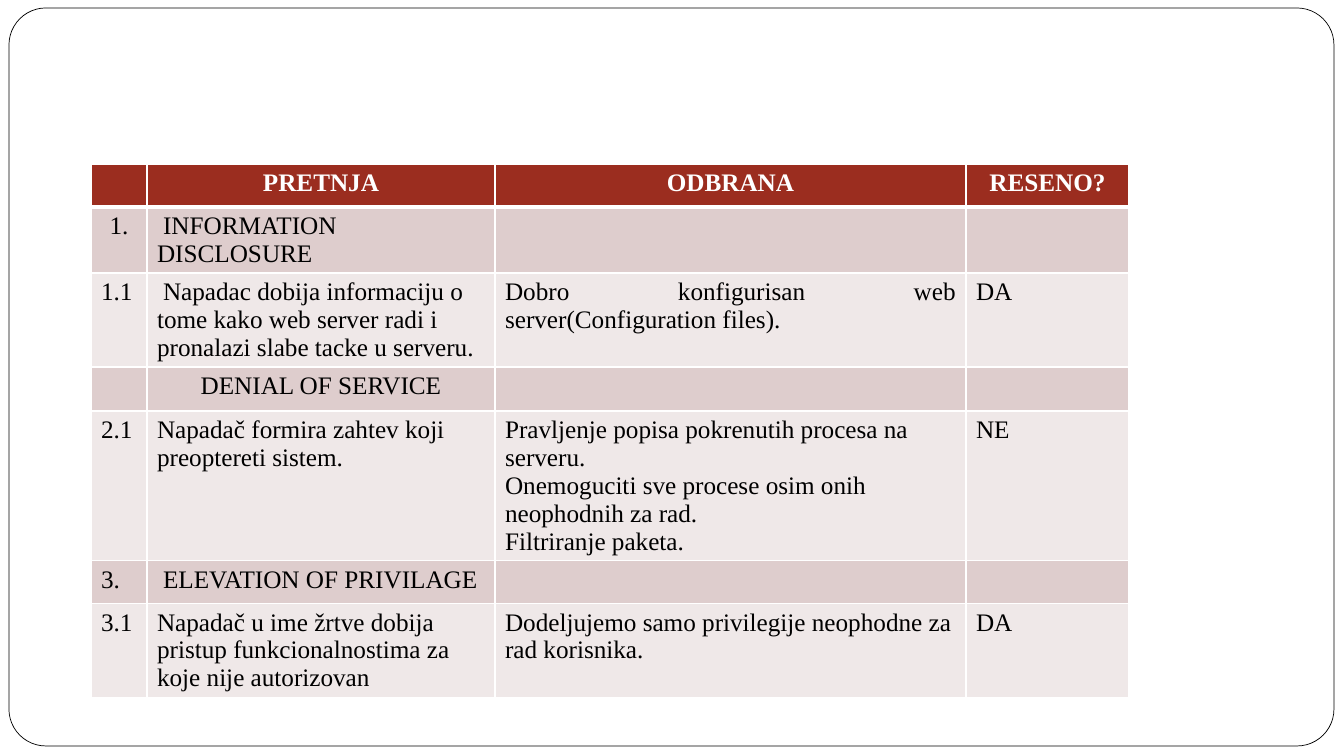
"""Build the slide with the table of threats, defences and their status."""
from dataclasses import dataclass

from lxml.etree import SubElement
from pptx import Presentation
from pptx.dml.color import RGBColor
from pptx.enum.shapes import MSO_SHAPE
from pptx.enum.text import PP_ALIGN
from pptx.oxml.ns import qn
from pptx.slide import Slide
from pptx.table import _Cell
from pptx.util import Emu, Pt

COLORS = {"white": "FFFFFF", "black": "000000", "header": "9B2D1F",
          "section": "DECDCD", "detail": "EFE8E8"}
FONT_NAME = "Times New Roman"
SCALE = 914400 / 100.8
COLUMN_WIDTHS = (56, 348, 471, 163)
TABLE_LEFT, TABLE_TOP = 91, 164
LEFT, CENTER, JUSTIFY = PP_ALIGN.LEFT, PP_ALIGN.CENTER, PP_ALIGN.JUSTIFY


@dataclass(frozen=True)
class Entry:
    text: str = ""
    align: PP_ALIGN = LEFT
    indent: int = 0


@dataclass(frozen=True)
class ThreatRow:
    kind: str
    height: int
    entries: tuple[Entry, ...]


ROWS = (
    ThreatRow("header", 43, (Entry(), Entry("PRETNJA", CENTER),
                             Entry("ODBRANA", CENTER), Entry("RESENO?", CENTER))),
    ThreatRow("section", 66, (Entry("1.", CENTER),
                              Entry("INFORMATION DISCLOSURE", indent=6))),
    ThreatRow("detail", 94, (
        Entry("1.1"),
        Entry("Napadac dobija informaciju o tome kako web server radi i "
              "pronalazi slabe tacke u serveru.", indent=6),
        Entry("Dobro konfigurisan web server(Configuration files).", JUSTIFY),
        Entry("DA", JUSTIFY))),
    ThreatRow("section", 44, (Entry(), Entry("DENIAL OF SERVICE", CENTER))),
    ThreatRow("detail", 149, (
        Entry("2.1"),
        Entry("Napadač formira zahtev koji preoptereti sistem."),
        Entry("Pravljenje popisa pokrenutih procesa na serveru.\n"
              "Onemoguciti sve procese osim onih neophodnih za rad.\n"
              "Filtriranje paketa."),
        Entry("NE"))),
    ThreatRow("section", 43, (Entry("3."), Entry("ELEVATION OF PRIVILAGE", indent=6))),
    ThreatRow("detail", 94, (
        Entry("3.1"),
        Entry("Napadač u ime žrtve dobija pristup funkcionalnostima za "
              "koje nije autorizovan"),
        Entry("Dodeljujemo samo privilegije neophodne za rad korisnika."),
        Entry("DA"))),
)


def pixels(value: int) -> Emu:
    return Emu(round(value * SCALE))


def color(name: str) -> RGBColor:
    return RGBColor.from_string(COLORS[name])


def write_text(cell: _Cell, text: str, *, align: PP_ALIGN = LEFT, indent: int = 0,
               text_color: str = "black", bold: bool = False) -> None:
    cell.text_frame.text = text
    for paragraph in cell.text_frame.paragraphs:
        paragraph.alignment = align
        if indent:
            paragraph._p.get_or_add_pPr().set("indent", str(pixels(indent)))
        for run in paragraph.runs:
            run.font.name = FONT_NAME
            run.font.size = Pt(18)
            run.font.bold = bold
            run.font.color.rgb = color(text_color)


def draw_borders(cell: _Cell, **widths: int) -> None:
    properties = cell._tc.get_or_add_tcPr()
    for side in "LRTB":
        line = SubElement(properties, qn(f"a:ln{side}"), w=str(Pt(widths.get(side, 1))))
        fill = SubElement(line, qn("a:solidFill"))
        SubElement(fill, qn("a:srgbClr"), val=COLORS["white"])


def draw_frame(slide: Slide) -> None:
    frame = slide.shapes.add_shape(MSO_SHAPE.ROUNDED_RECTANGLE, pixels(9), pixels(8),
                                   pixels(1325), pixels(738))
    frame.adjustments[0] = 0.05
    frame.shadow.inherit = False
    frame.fill.solid()
    frame.fill.fore_color.rgb = color("white")
    frame.line.color.rgb = color("black")
    frame.line.width = Pt(0.5)


def draw_table(slide: Slide) -> None:
    table = slide.shapes.add_table(
        len(ROWS), len(COLUMN_WIDTHS), pixels(TABLE_LEFT), pixels(TABLE_TOP),
        pixels(sum(COLUMN_WIDTHS)), pixels(sum(row.height for row in ROWS))).table
    table.horz_banding = False
    for column, width in zip(table.columns, COLUMN_WIDTHS):
        column.width = pixels(width)
    for row_index, row in enumerate(ROWS):
        table.rows[row_index].height = pixels(row.height)
        is_header = row.kind == "header"
        for column_index in range(len(COLUMN_WIDTHS)):
            cell = table.cell(row_index, column_index)
            draw_borders(cell, B=3 if is_header else 1, T=3 if row_index == 1 else 1)
            cell.fill.solid()
            cell.fill.fore_color.rgb = color(row.kind)
            if column_index < len(row.entries):
                entry = row.entries[column_index]
                write_text(cell, entry.text, align=entry.align, indent=entry.indent,
                           text_color="white" if is_header else "black", bold=is_header)


def main() -> None:
    presentation = Presentation()
    presentation.slide_width = pixels(1344)
    presentation.slide_height = pixels(756)
    slide = presentation.slides.add_slide(presentation.slide_layouts[6])
    draw_frame(slide)
    draw_table(slide)
    presentation.save("out.pptx")


main()
